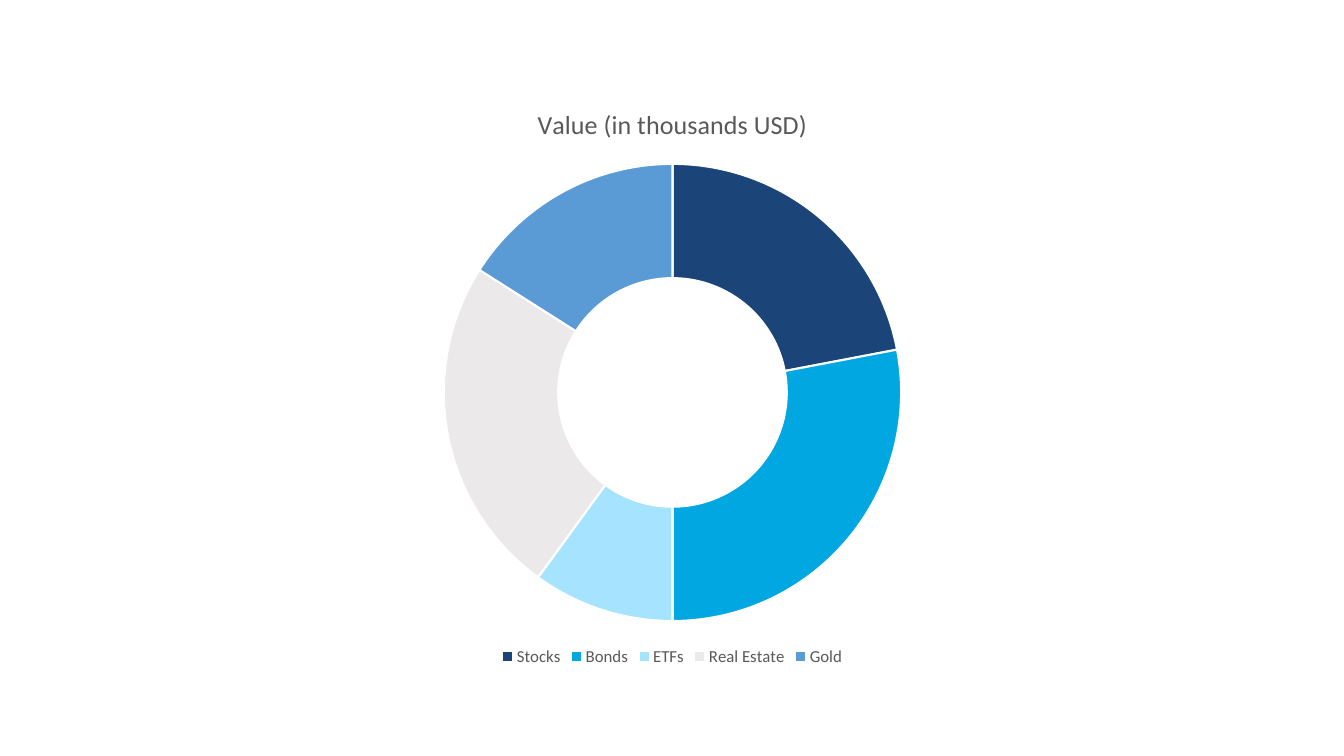
"""Build a slide with a doughnut chart of portfolio value by asset class."""
from dataclasses import dataclass

from pptx import Presentation
from pptx.chart.chart import Chart
from pptx.chart.data import CategoryChartData
from pptx.dml.color import RGBColor
from pptx.enum.chart import XL_CHART_TYPE, XL_LEGEND_POSITION
from pptx.oxml.ns import qn
from pptx.text.text import Font
from pptx.util import Inches, Pt

DOUGHNUT = XL_CHART_TYPE.DOUGHNUT
LEGEND_BOTTOM = XL_LEGEND_POSITION.BOTTOM
FONT_NAME = "Calibri"
TITLE = "Value (in thousands USD)"
HOLE_PERCENT = 75
COLORS = {
    "black": "000000",
    "gray": "595959",
    "white": "FFFFFF",
    "navy": "1B4479",
    "cyan": "00A7E1",
    "pale_cyan": "A6E3FF",
    "light_gray": "EBE9E9",
    "blue": "5B9BD5",
}


@dataclass(frozen=True)
class Asset:
    """One asset class, its value and its slice colour."""

    name: str
    value: int
    color: str


ASSETS = [
    Asset("Stocks", 22, "navy"),
    Asset("Bonds", 28, "cyan"),
    Asset("ETFs", 10, "pale_cyan"),
    Asset("Real Estate", 24, "light_gray"),
    Asset("Gold", 16, "blue"),
]


def rgb(color: str) -> RGBColor:
    """Return the named colour."""
    return RGBColor.from_string(COLORS[color])


def format_font(font: Font, *, size: float, color: str) -> None:
    """Set typeface, size and colour in regular weight."""
    font.name = FONT_NAME
    font.size = Pt(size)
    font.bold = False
    font.color.rgb = rgb(color)


def set_title(chart: Chart, text: str, *, size: float, color: str) -> None:
    """Write the chart title with its format."""
    chart.has_title = True
    paragraph = chart.chart_title.text_frame.paragraphs[0]
    run = paragraph.add_run()
    run.text = text
    format_font(run.font, size=size, color=color)
    chart.chart_title.include_in_layout = False


def set_legend(chart: Chart) -> None:
    """Place the legend below the ring."""
    chart.has_legend = True
    chart.legend.position = LEGEND_BOTTOM
    chart.legend.include_in_layout = False
    format_font(chart.legend.font, size=12, color="gray")


def color_slices(chart: Chart) -> None:
    """Fill each slice, separate slices in white and size the hole."""
    plot = chart.plots[0]
    plot.vary_by_categories = True
    plot.has_data_labels = False
    plot._element.find(qn("c:holeSize")).set("val", str(HOLE_PERCENT))
    for index, asset in enumerate(ASSETS):
        slice_format = plot.series[0].points[index].format
        slice_format.fill.solid()
        slice_format.fill.fore_color.rgb = rgb(asset.color)
        slice_format.line.color.rgb = rgb("white")
        slice_format.line.width = Pt(1.5)


def main() -> None:
    """Create and save the presentation."""
    presentation = Presentation()
    presentation.slide_width = Inches(13.33)
    presentation.slide_height = Inches(7.5)
    slide = presentation.slides.add_slide(presentation.slide_layouts[6])

    data = CategoryChartData()
    data.categories = [asset.name for asset in ASSETS]
    data.add_series(TITLE, [asset.value for asset in ASSETS])
    chart = slide.shapes.add_chart(
        DOUGHNUT, Inches(0.11), Inches(0.84), Inches(13.12), Inches(5.81), data
    ).chart
    format_font(chart.font, size=10, color="black")
    set_title(chart, TITLE, size=18.6, color="gray")
    set_legend(chart)
    color_slices(chart)
    presentation.save("out.pptx")


if __name__ == "__main__":
    main()
